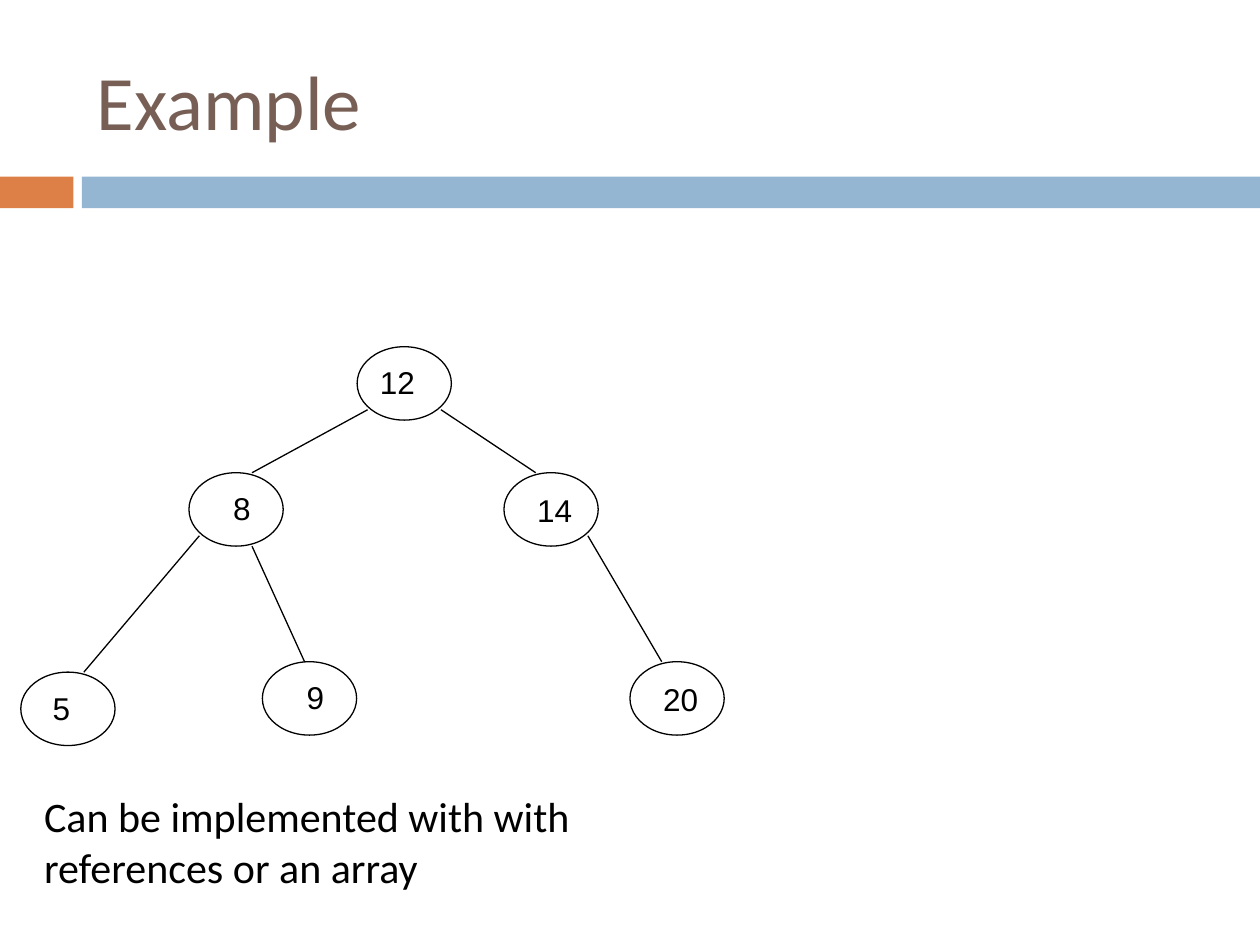
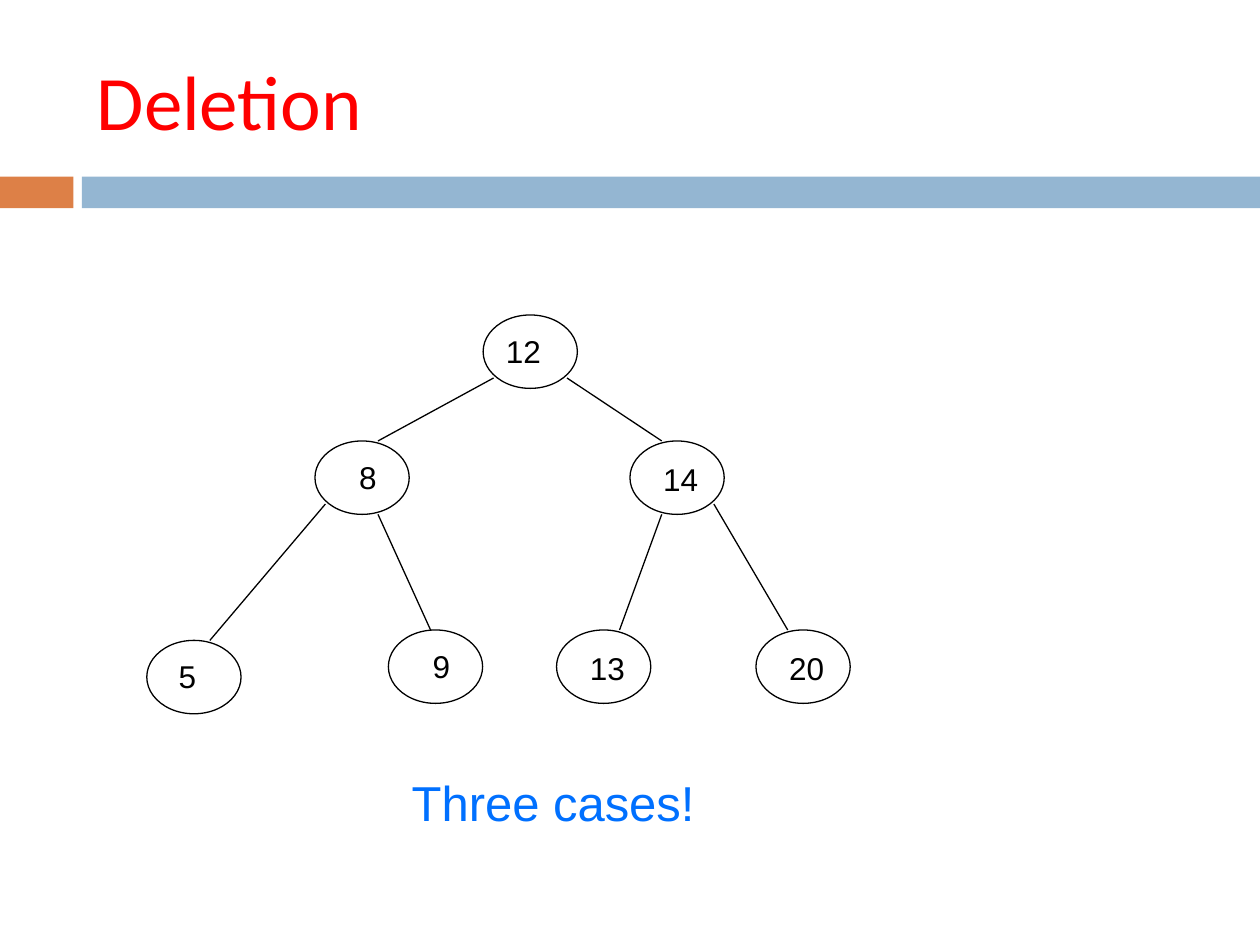
"""Build two slides showing a binary search tree and its deletion cases."""
from pptx import Presentation
from pptx.dml.color import RGBColor
from pptx.enum.shapes import MSO_CONNECTOR, MSO_SHAPE
from pptx.enum.text import MSO_ANCHOR
from pptx.oxml.ns import qn
from pptx.util import Cm, Pt
from lxml import etree

RECT, OVAL = MSO_SHAPE.RECTANGLE, MSO_SHAPE.OVAL
STRAIGHT = MSO_CONNECTOR.STRAIGHT
TOP, MIDDLE = MSO_ANCHOR.TOP, MSO_ANCHOR.MIDDLE

COLORS = {
    "orange": "DD8047", "blue": "94B6D2", "brown": "775F55",
    "red": "FF0000", "bright": "0070FF", "black": "000000",
}
BANDS = [(0, 1.48, "orange"), (1.65, 23.75, "blue")]
NODE_W, NODE_H = 1.9, 1.48

NODES = [
    ("12", 7.2, 6.99, 0.21, 0.21),
    ("8", 3.81, 9.53, 0.64, 0.21),
    ("5", 0.42, 13.55, 0.39, 0.21),
    ("9", 5.29, 13.34, 0.64, 0.21),
    ("14", 10.16, 9.53, 0.42, 0.25),
    ("20", 12.7, 13.34, 0.42, 0.25),
]
EDGES = [
    (7.41, 8.26, 5.08, 9.53),
    (8.89, 8.26, 10.8, 9.53),
    (4.02, 10.8, 1.69, 13.55),
    (5.08, 11.01, 6.14, 13.34),
    (11.85, 10.8, 13.34, 13.34),
]
NODE_13 = ("13", 8.68, 13.34, 0.42, 0.25)
EDGE_13 = (10.8, 11.01, 9.95, 13.34)

SLIDES = [
    {"title": ("Example", "brown"), "shift": (0, 0),
     "nodes": NODES, "edges": EDGES,
     "note": ("Can be implemented with with references or an array",
              0.64, 15.82, 14.43, 2.31, 24, "Calibri", "black")},
    {"title": ("Deletion", "red"), "shift": (2.54, -0.64),
     "nodes": NODES + [NODE_13], "edges": EDGES + [EDGE_13],
     "note": ("Three cases!", 8.05, 15.44, 7.19, 1.45, 28, "Arial", "bright")},
]


def rgb(name):
    return RGBColor.from_string(COLORS[name])


def add_text(s, text, x, y, w, h, size, font, color, anchor=TOP):
    tf = s.shapes.add_textbox(Cm(x), Cm(y), Cm(w), Cm(h)).text_frame
    tf.word_wrap = True
    tf.vertical_anchor = anchor
    r = tf.paragraphs[0].add_run()
    r.text = text
    r.font.size = Pt(size)
    r.font.name = font
    r.font.color.rgb = rgb(color)


prs = Presentation()
prs.slide_width, prs.slide_height = Cm(25.4), Cm(19.05)

for page in SLIDES:
    s = prs.slides.add_slide(prs.slide_layouts[6])
    for x, w, color in BANDS:
        sp = s.shapes.add_shape(RECT, Cm(x), Cm(3.56), Cm(w), Cm(0.64))
        sp.shadow.inherit = False
        sp.fill.solid()
        sp.fill.fore_color.rgb = rgb(color)
        sp.line.fill.background()

    title, color = page["title"]
    add_text(s, title, 1.7, 0.64, 22.66, 2.74, 44, "Calibri", color, MIDDLE)

    left, top = page["shift"]
    for x1, y1, x2, y2 in page["edges"]:
        line = s.shapes.add_connector(STRAIGHT, Cm(left + x1), Cm(top + y1),
                                      Cm(left + x2), Cm(top + y2))
        line.line.color.rgb = rgb("black")
        line.line.width = Pt(0.75)
        etree.SubElement(line._element.spPr, qn("a:effectLst"))

    for label, x, y, dx, dy in page["nodes"]:
        sp = s.shapes.add_shape(OVAL, Cm(left + x), Cm(top + y),
                                Cm(NODE_W), Cm(NODE_H))
        sp.shadow.inherit = False
        sp.fill.background()
        sp.line.color.rgb = rgb("black")
        sp.line.width = Pt(0.75)
        add_text(s, label, left + x + dx, top + y + dy, 1.69, 1.02,
                 18, "Arial", "black")

    add_text(s, *page["note"])

prs.save("out.pptx")
